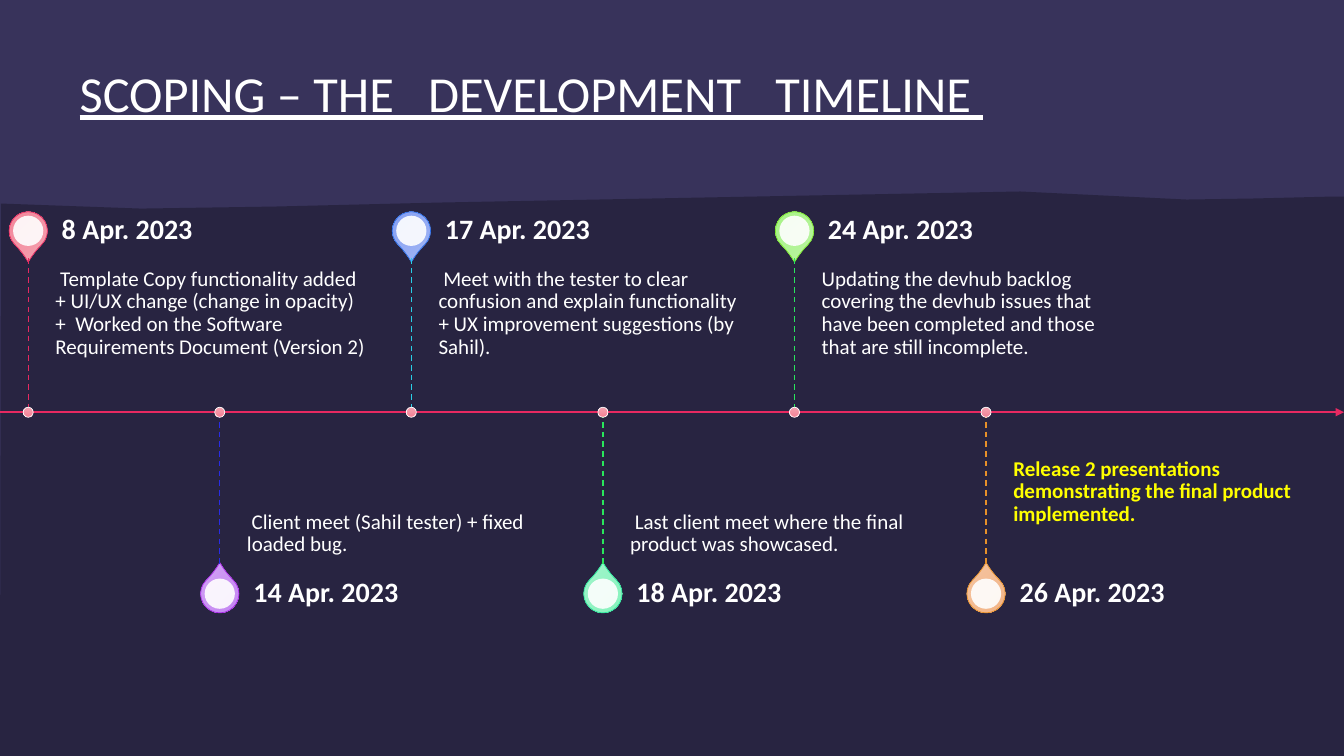
from lxml import etree
from pptx import Presentation, util as u
from pptx.dml.color import RGBColor
from pptx.enum import dml, shapes, text
from pptx.oxml.ns import qn

# Content: date, note, pin gradient (light, deep), pin outline, stem colour
TITLE = "SCOPING – THE   DEVELOPMENT   TIMELINE "
STEPS = [
    (" 8 Apr. 2023",
     " Template Copy functionality added + UI/UX change (change in opacity) +"
     "  Worked on the Software Requirements Document (Version 2) ",
     ("F4A3B1", "F38095"), "E72961", "E72961"),
    (" 14 Apr. 2023", " Client meet (Sahil tester) + fixed loaded bug.",
     ("D1A3F4", "C380F3"), "A929E7", "292CE7"),
    (" 17 Apr. 2023",
     " Meet with the tester to clear confusion and explain functionality"
     " + UX improvement suggestions (by Sahil).",
     ("A3B6F4", "809CF3"), "296DE7", "29CFE7"),
    (" 18 Apr. 2023",
     " Last client meet where the final product was showcased.",
     ("A3F4CB", "80F3BA"), "29E79C", "29E75B"),
    (" 24 Apr. 2023",
     "Updating the devhub backlog covering the devhub issues that have"
     " been completed and those that are still incomplete.",
     ("BBF4A3", "A3F380"), "7AE729", "29E75B"),
    (" 26 Apr. 2023",
     "Release 2 presentations demonstrating the final product implemented.",
     ("F4C5A3", "F3B180"), "E79029", "E79029"),
]
GROUND = [(0.01, 2.02), (1.4, 2.07), (2.72, 2.05), (4.36, 2.01), (10.12, 1.9),
          (11.77, 1.98), (12.43, 1.97), (13.23, 1.95), (13.33, 1.95),
          (13.33, 7.5), (0, 7.5)]


class Theme:
    font = "Calibri"
    dark, band, ink, key = "282441", "38335B", "FFFFFF", "FFFF00"
    axis, dot = "E72961", ("F4A3B1", "F38095")
    title, date, note = 36, 20, 15


# Layout in inches
WIDE, HIGH = 13.33, 7.5
AXIS, FIRST, STEP = 4.09, 0.28, 1.9
STEM, DATE_H, TEXT_W, GAP = 1.53, 0.54, 3.17, 0.27
PIN, HOLE, DOT = 0.38, 0.3, 0.1

deck = Presentation()
deck.slide_width, deck.slide_height = u.Inches(WIDE), u.Inches(HIGH)
slide = deck.slides.add_slide(deck.slide_layouts[6])
slide.background.fill.solid()
slide.background.fill.fore_color.rgb = RGBColor.from_string(Theme.dark)


def paint(shape, fill, edge=None):
    """Fill with a colour, or with a pair as a downward gradient."""
    shape.shadow.inherit = False
    if isinstance(fill, tuple):
        shape.fill.gradient()
        shape.fill.gradient_angle = 270
        for stop, tone, at in zip(shape.fill.gradient_stops, fill, (0, 1)):
            stop.color.rgb, stop.position = RGBColor.from_string(tone), at
    else:
        shape.fill.solid()
        shape.fill.fore_color.rgb = RGBColor.from_string(fill)
    if edge:
        shape.line.color.rgb = RGBColor.from_string(edge)
        shape.line.width = u.Pt(0.5)
    else:
        shape.line.fill.background()


def disc(kind, x, y, size, fill, edge=None):
    """Place a square shape by its centre."""
    shape = slide.shapes.add_shape(
        kind, *map(u.Inches, (x - size / 2, y - size / 2, size, size)))
    paint(shape, fill, edge)
    return shape


def rule(x1, y1, x2, y2, tone, width):
    line = slide.shapes.add_connector(
        shapes.MSO_CONNECTOR.STRAIGHT, *map(u.Inches, (x1, y1, x2, y2)))
    line.line.color.rgb = RGBColor.from_string(tone)
    line.line.width = u.Pt(width)
    etree.SubElement(line._element.spPr, qn("a:effectLst"))
    return line


def write(words, box, size, pads, anchor, bold=False, tone=Theme.ink):
    frame = slide.shapes.add_textbox(*map(u.Inches, box)).text_frame
    frame.word_wrap, frame.vertical_anchor = True, anchor
    (frame.margin_left, frame.margin_top, frame.margin_right,
     frame.margin_bottom) = map(u.Inches, pads)
    para = frame.paragraphs[0]
    para.text, para.line_spacing = words, 0.9
    font = para.font
    font.name, font.size, font.bold = Theme.font, u.Pt(size), bold
    font.color.rgb = RGBColor.from_string(tone)
    return font


# Backdrop and title
sky = slide.shapes.add_shape(shapes.MSO_SHAPE.RECTANGLE, 0, 0,
                             deck.slide_width, deck.slide_height)
paint(sky, Theme.band)
spots = [(u.Inches(x), u.Inches(y)) for x, y in GROUND]
path = slide.shapes.build_freeform(*spots[0])
path.add_line_segments(spots[1:], close=True)
paint(path.convert_to_shape(), Theme.dark)
head = write(TITLE, (0.79, 0.68, 11.73, 0.75), Theme.title, (0, 0, 0, 0),
             text.MSO_ANCHOR.TOP)
head.underline = True

# Time axis
axis = rule(0, AXIS, WIDE, AXIS, Theme.axis, 1.5)
etree.SubElement(axis.line._get_or_add_ln(), qn("a:tailEnd"), type="triangle")

# Milestones, in turn above and below the axis
for i, (date, note, pin, edge, stem) in enumerate(STEPS):
    x, up, last = FIRST + i * STEP, i % 2 == 0, i == len(STEPS) - 1
    tip = AXIS - STEM if up else AXIS + STEM
    top = tip - DATE_H if up else tip
    mid = top + DATE_H / 2

    drop = disc(shapes.MSO_SHAPE.TEAR, x, mid, PIN, pin, edge)
    drop.adjustments[0] = 1.15
    drop.rotation = 135 if up else 315
    hole = disc(shapes.MSO_SHAPE.OVAL, x, mid, HOLE, Theme.ink)
    tint = hole._element.spPr.find(qn("a:solidFill"))[0]
    etree.SubElement(tint, qn("a:alpha"), val="90000")

    if up:
        pads, anchor = (0, 0.1, 0.1, 0.16), text.MSO_ANCHOR.TOP
    else:
        pads = (0, 0.16, 0, 0.4 if last else 0.1)
        anchor = text.MSO_ANCHOR.BOTTOM
    write(note, (x + GAP, min(tip, AXIS), TEXT_W, STEM), Theme.note, pads,
          anchor, last, Theme.key if last else Theme.ink)
    write(date, (x + GAP, top, TEXT_W, DATE_H), Theme.date, (0, 0, 0.14, 0),
          text.MSO_ANCHOR.MIDDLE, True)

    dash = rule(x, min(tip, AXIS), x, max(tip, AXIS), stem, 1)
    dash.line.dash_style = dml.MSO_LINE.DASH
    disc(shapes.MSO_SHAPE.OVAL, x, AXIS, DOT, Theme.dot, Theme.ink)

deck.save("out.pptx")
